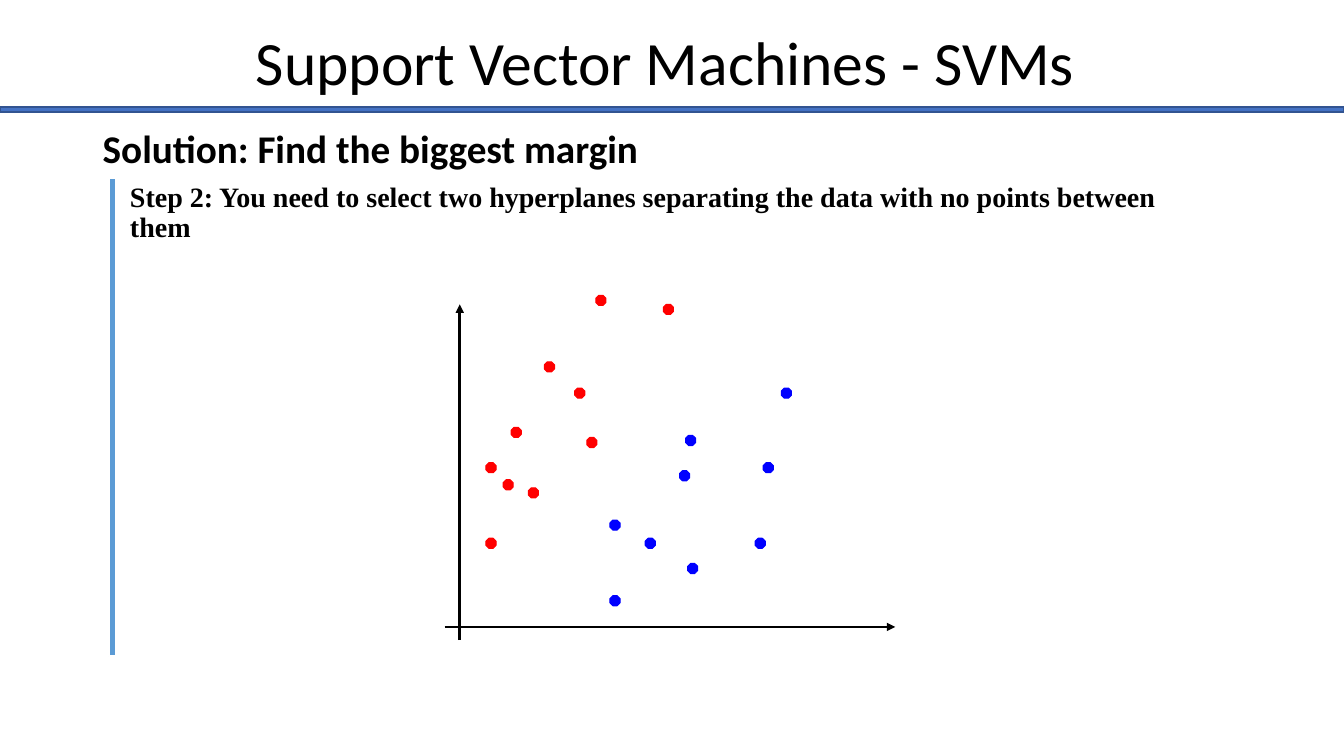
from lxml import etree
from pptx import Presentation
from pptx.dml.color import RGBColor
from pptx.enum.shapes import MSO_CONNECTOR as Link, MSO_SHAPE as Shape
from pptx.enum.text import MSO_ANCHOR as Anchor, PP_ALIGN as Align
from pptx.oxml.ns import qn
from pptx.util import Inches, Pt

BLACK = RGBColor(0, 0, 0)
WHITE = RGBColor(255, 255, 255)
RED = RGBColor(255, 0, 0)
BLUE = RGBColor(0, 0, 255)
RULE = RGBColor(0x44, 0x72, 0xC4)
EDGE = RGBColor(0x32, 0x54, 0x91)
BAR = RGBColor(0x5B, 0x9B, 0xD5)

TITLE = "Support Vector Machines - SVMs "
HEAD = "Solution: Find the biggest margin"
STEP = ("Step 2: You need to select two hyperplanes separating "
        "the data with no points between them")

# Left and top of each dot, in inches
DOTS = {
    RED: [(5.7, 3.85), (5.07, 4.24), (5.24, 4.84), (4.82, 5.34),
          (5.4, 3.59), (4.82, 4.59), (4.99, 4.76), (5.82, 4.34),
          (5.91, 2.93), (6.58, 3.02)],
    BLUE: [(6.8, 4.32), (6.4, 5.34), (7.49, 5.34), (6.05, 5.91),
           (6.74, 4.67), (6.05, 5.16), (6.82, 5.59), (7.57, 4.59),
           (7.75, 3.85)],
}
DOT = 0.1
AXES = [(4.56, 6.35, 4.56, 3.02), (4.41, 6.22, 8.88, 6.22)]

deck = Presentation()
deck.slide_width, deck.slide_height = Inches(13.33), Inches(7.5)
slide = deck.slides.add_slide(deck.slide_layouts[6])
shapes = slide.shapes


def add_text(text, box, size, face="Calibri", bold=False):
    frame = shapes.add_textbox(*map(Inches, box)).text_frame
    frame.word_wrap = True
    para = frame.paragraphs[0]
    para.text = text
    font = para.font
    font.name, font.size, font.bold = face, Pt(size), bold
    font.color.rgb = BLACK
    return frame, para


def add_block(kind, box, fill, edge, width):
    block = shapes.add_shape(kind, *map(Inches, box))
    block.shadow.inherit = False
    block.fill.solid()
    block.fill.fore_color.rgb = fill
    block.line.color.rgb = edge
    block.line.width = Pt(width)
    return block


def add_axis(ends):
    axis = shapes.add_connector(Link.STRAIGHT, *map(Inches, ends))
    axis.line.color.rgb = BLACK
    axis.line.width = Pt(2)
    tip = etree.SubElement(axis.line._get_or_add_ln(), qn("a:tailEnd"))
    tip.set("type", "triangle")
    etree.SubElement(axis._element.spPr, qn("a:effectLst"))


frame, para = add_text(TITLE, (0.92, 0.24, 11.5, 0.82), 44)
frame.vertical_anchor = Anchor.MIDDLE
para.alignment = Align.CENTER
para.line_spacing = 0.9

frame, para = add_text(STEP, (1.19, 1.77, 10.95, 4.74), 20,
                       "Times New Roman", True)
para.line_spacing = 0.9
para.space_before = Pt(10)

add_block(Shape.RECTANGLE, (0, 1.06, 13.33, 0.05), RULE, EDGE, 1)
add_block(Shape.RECTANGLE, (1.08, 1.77, 0.07, 4.74), BAR, WHITE, 1.5)
add_text(HEAD, (0.92, 1.18, 5.68, 0.57), 28, bold=True)

for ends in AXES:
    add_axis(ends)
for color, spots in DOTS.items():
    for left, top in spots:
        add_block(Shape.OCTAGON, (left, top, DOT, DOT), color, color, 0.75)

deck.save("out.pptx")
